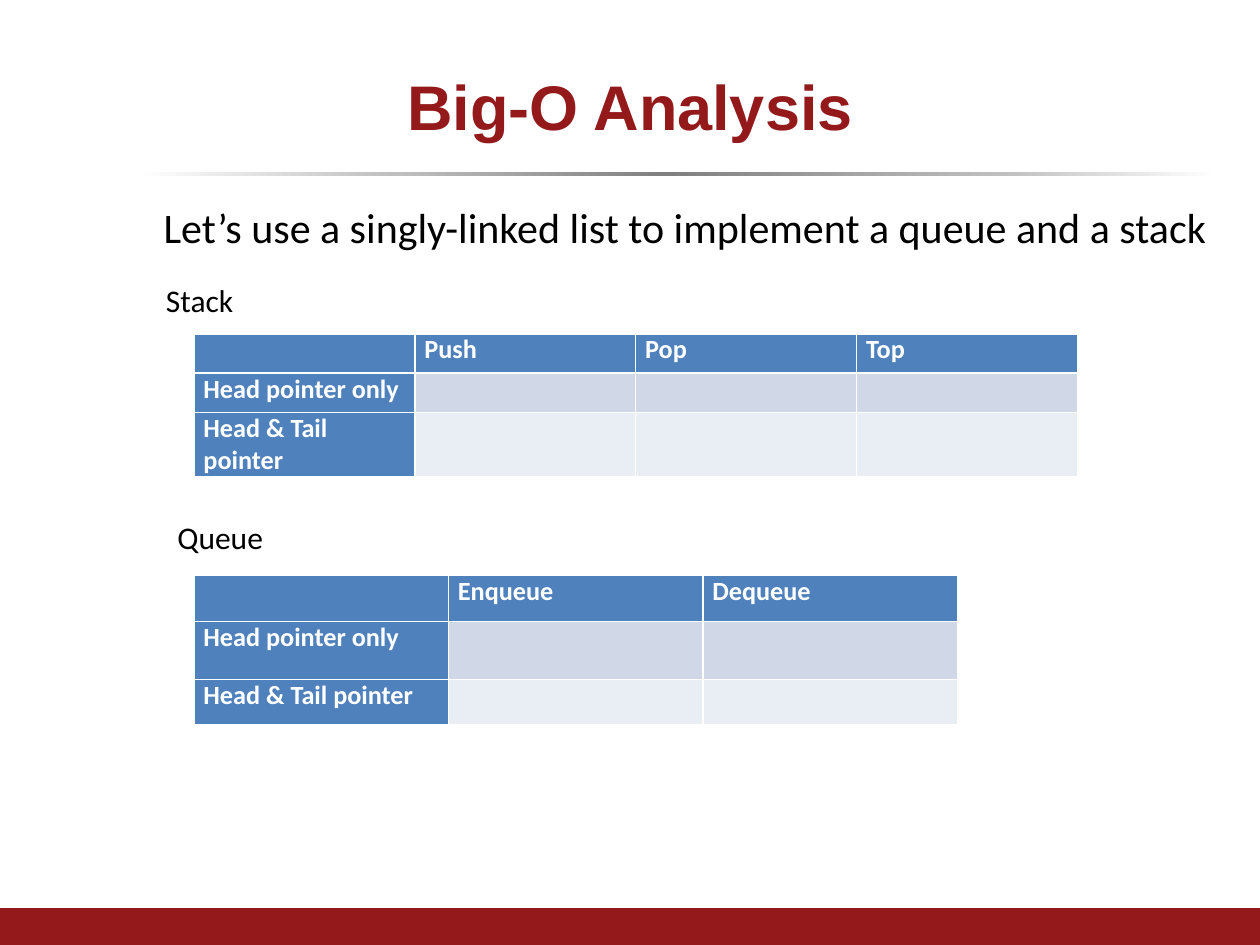
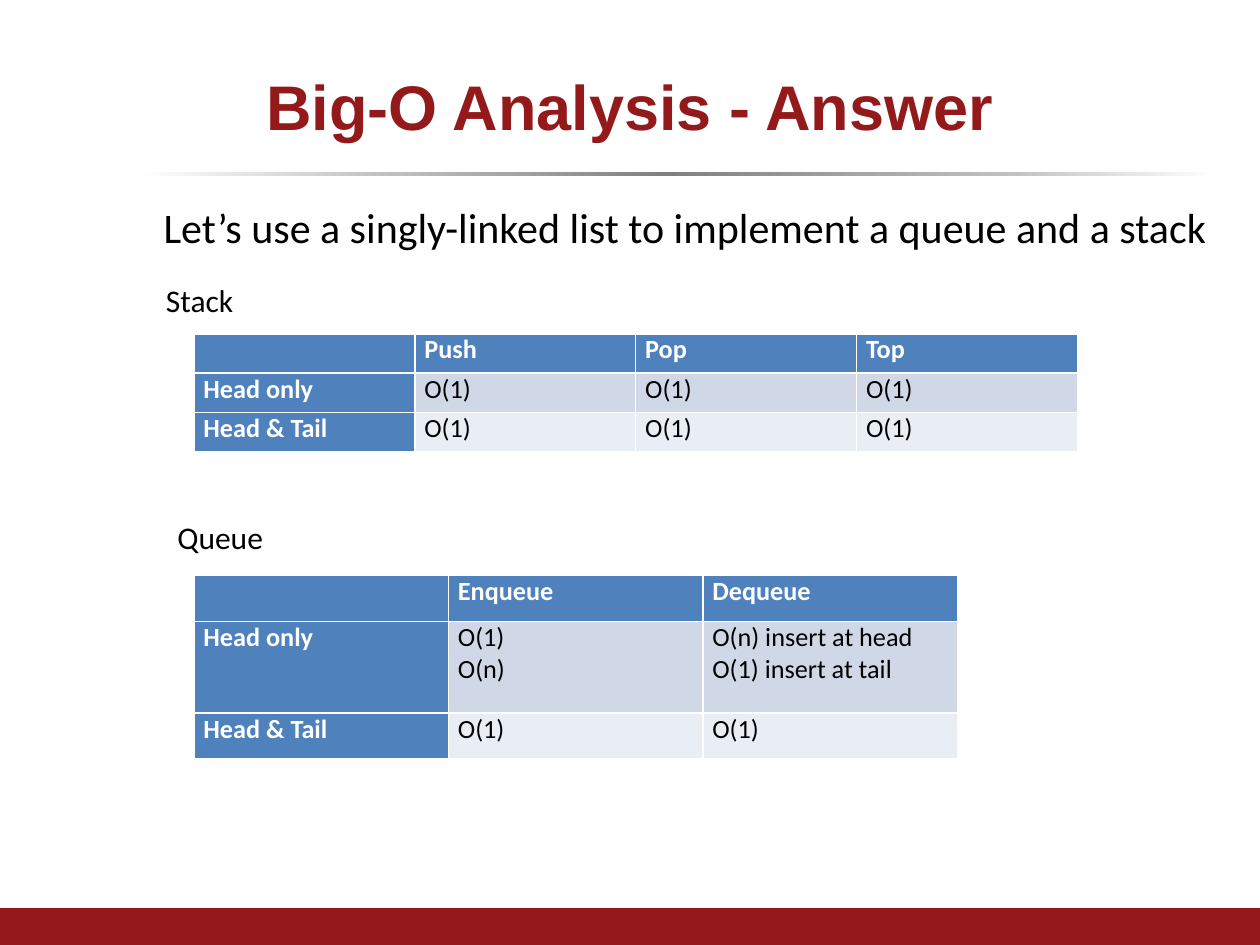
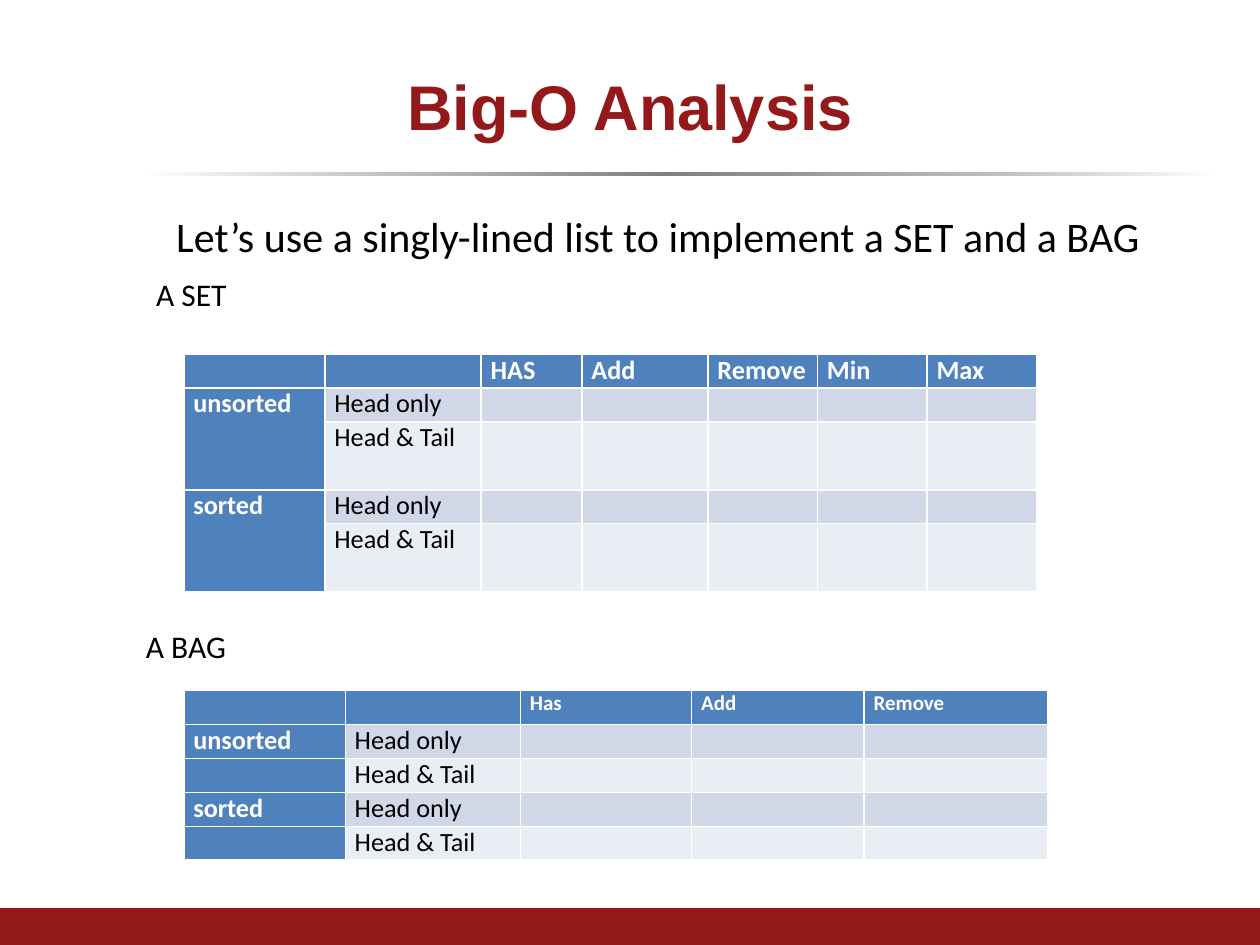
from lxml import etree
from pptx import Presentation
from pptx.dml.color import RGBColor
from pptx.enum.shapes import MSO_SHAPE
from pptx.enum.text import MSO_ANCHOR, MSO_AUTO_SIZE, PP_ALIGN
from pptx.oxml.ns import qn
from pptx.util import Pt

RECT = MSO_SHAPE.RECTANGLE
MIDDLE = MSO_ANCHOR.MIDDLE
CENTER = PP_ALIGN.CENTER
GROW = MSO_AUTO_SIZE.SHAPE_TO_FIT_TEXT

TITLE_ONLY = 5
RED, BLUE, WHITE, BLACK = "93191B", "4F81BD", "FFFFFF", "000000"
BANDS = ("D0D8E8", "E9EDF4")
RULE_STOPS = ((0, "FFFFFF"), (24, "BFBFBF"), (49, "808080"),
              (80, "BFBFBF"), (100, "FFFFFF"))
HEAD_FONT, BODY_FONT = "Arial", "Calibri"


def rgb(value):
    """Turn a hex string into a colour."""
    return RGBColor.from_string(value)


class Deck:
    """Holds the presentation, its style and the current slide."""

    def __init__(self):
        """Set the page size and the place of the titles."""
        self.prs = Presentation()
        self.prs.slide_width, self.prs.slide_height = Pt(720), Pt(540)
        self.layout = self.prs.slide_layouts[TITLE_ONLY]
        title = self.layout.placeholders[0]
        title.left, title.top = Pt(36), Pt(21.6)
        title.width, title.height = Pt(648), Pt(77)
        self.slide = None

    def add_slide(self, title):
        """Start a slide with its title."""
        first = self.slide is None
        self.slide = self.prs.slides.add_slide(self.layout)
        if first:
            self.decorate_master()
        tf = self.slide.shapes.title.text_frame
        tf.text = title
        tf.vertical_anchor = MIDDLE
        tf.paragraphs[0].alignment = CENTER
        self.format(tf, 36, RED, True, HEAD_FONT)

    def decorate_master(self):
        """Give the master its rule and its bottom band."""
        rule = self.bar(77.8, 98.6, 617.8, 2.2)
        rule.fill.gradient()
        rule.fill.gradient_angle = 0
        stops = rule.element.spPr.find(".//" + qn("a:gsLst"))
        stops.clear()
        for place, color in RULE_STOPS:
            gs = etree.SubElement(stops, qn("a:gs"), pos=str(place * 1000))
            etree.SubElement(gs, qn("a:srgbClr"), val=color)
        band = self.bar(0, 519, 720, 21)
        band.fill.solid()
        band.fill.fore_color.rgb = rgb(RED)
        for number, sp in enumerate((rule, band), 101):
            sp.element.nvSpPr.cNvPr.id = number
            self.prs.slide_master.shapes.element.append(sp.element)

    def bar(self, left, top, width, height):
        """Add a plain rectangle without line or shadow."""
        sp = self.slide.shapes.add_shape(
            RECT, Pt(left), Pt(top), Pt(width), Pt(height))
        sp.shadow.inherit = False
        sp.line.fill.background()
        return sp

    def format(self, tf, size, color=BLACK, bold=False, font=BODY_FONT):
        """Format every run of a text frame."""
        for p in tf.paragraphs:
            for r in p.runs:
                r.font.name, r.font.size, r.font.bold = font, Pt(size), bold
                r.font.color.rgb = rgb(color)

    def text(self, text, left, top, width, size=18):
        """Add a one-line text box."""
        box = self.slide.shapes.add_textbox(
            Pt(left), Pt(top), Pt(width), Pt(size * 1.2 + 7.2))
        tf = box.text_frame
        tf.word_wrap = True
        tf.auto_size = GROW
        tf.text = text
        self.format(tf, size)

    def table(self, left, top, widths, heights, rows, head_size=15, merges=()):
        """Add a table with a blue header row and first column.

        Rows may be shorter than the table; merges lists the rows whose
        first cell also covers the row below.
        """
        frame = self.slide.shapes.add_table(
            len(heights), len(widths), Pt(left), Pt(top),
            Pt(sum(widths)), Pt(sum(heights)))
        table = frame.table
        table.first_col = True
        for column, width in zip(table.columns, widths):
            column.width = Pt(width)
        for i, height in enumerate(heights):
            table.rows[i].height = Pt(height)
            for j in range(len(widths)):
                text = rows[i][j] if j < len(rows[i]) else ""
                self.cell(table.cell(i, j), text, 15 if i else head_size,
                          i == 0 or j == 0, BANDS[(i - 1) % 2])
        for i in merges:
            table.cell(i, 0).merge(table.cell(i + 1, 0))

    def cell(self, cell, text, size, heading, band):
        """Fill and write one table cell."""
        cell.margin_left = cell.margin_right = Pt(5.4)
        cell.margin_top = cell.margin_bottom = 0
        cell.fill.solid()
        cell.fill.fore_color.rgb = rgb(BLUE if heading else band)
        tf = cell.text_frame
        tf.text = text
        if text:
            self.format(tf, size, WHITE if heading else BLACK, heading)
        else:
            # keeps an empty cell from stretching its row
            etree.SubElement(tf.paragraphs[0]._p, qn("a:endParaRPr"),
                             sz=str(size * 100))


def stack_and_queue(deck, title, stack_rows, queue_rows, queue_heights):
    """Build a slide that compares a stack and a queue."""
    deck.add_slide(title)
    deck.table(110.9, 190.8, [126.2] * 4, [22.5] * 3,
               [["", "Push", "Pop", "Top"]] + stack_rows)
    deck.text("Stack", 87.8, 157, 124.6)
    deck.text("Let’s use a singly-linked list to implement a queue and a stack",
              86.4, 111.6, 625, 24)
    deck.table(110.9, 329, [145.4] * 3, queue_heights,
               [["", "Enqueue", "Dequeue"]] + queue_rows)
    deck.text("Queue", 94.3, 292.3, 124.6)


def set_and_bag(deck):
    """Build the slide that compares a set and a bag."""
    head, both, row = "Head only", "Head & Tail", 19.4
    body = [["unsorted", head], ["", both], ["sorted", head], ["", both]]
    deck.add_slide("Big-O Analysis")
    deck.table(105.1, 202.3, [80.6, 89.3, 57.6, 72] + [62.6] * 3,
               [row, row, 2 * row, row, 2 * row],
               [["", "", "HAS", "Add", "Remove", "Min", "Max"]] + body,
               merges=(1, 3))
    deck.text("Let’s use a singly-lined list to implement a SET and a BAG",
              93.6, 116.6, 572.4, 24)
    deck.text("A SET", 82.1, 153.4, 164.2)
    deck.text("A BAG", 76.3, 355, 164.2)
    deck.table(105.1, 394.6, [92.2, 100.1, 97.9, 98.6, 105.1], [row] * 5,
               [["", "", "Has", "Add", "Remove"]] + body, head_size=12)


deck = Deck()
blank_rows = [["Head pointer only"], ["Head & Tail pointer"]]
stack_and_queue(deck, "Big-O Analysis", blank_rows, blank_rows,
                [26.2, 33, 26.2])
stack_and_queue(
    deck, "Big-O Analysis - Answer",
    [["Head only"] + ["O(1)"] * 3, ["Head & Tail"] + ["O(1)"] * 3],
    [["Head only", "O(1)\nO(n)", "O(n) insert at head\nO(1) insert at tail"],
     ["Head & Tail", "O(1)", "O(1)"]],
    [26.2, 52.4, 26.2])
set_and_bag(deck)
deck.prs.save("out.pptx")
